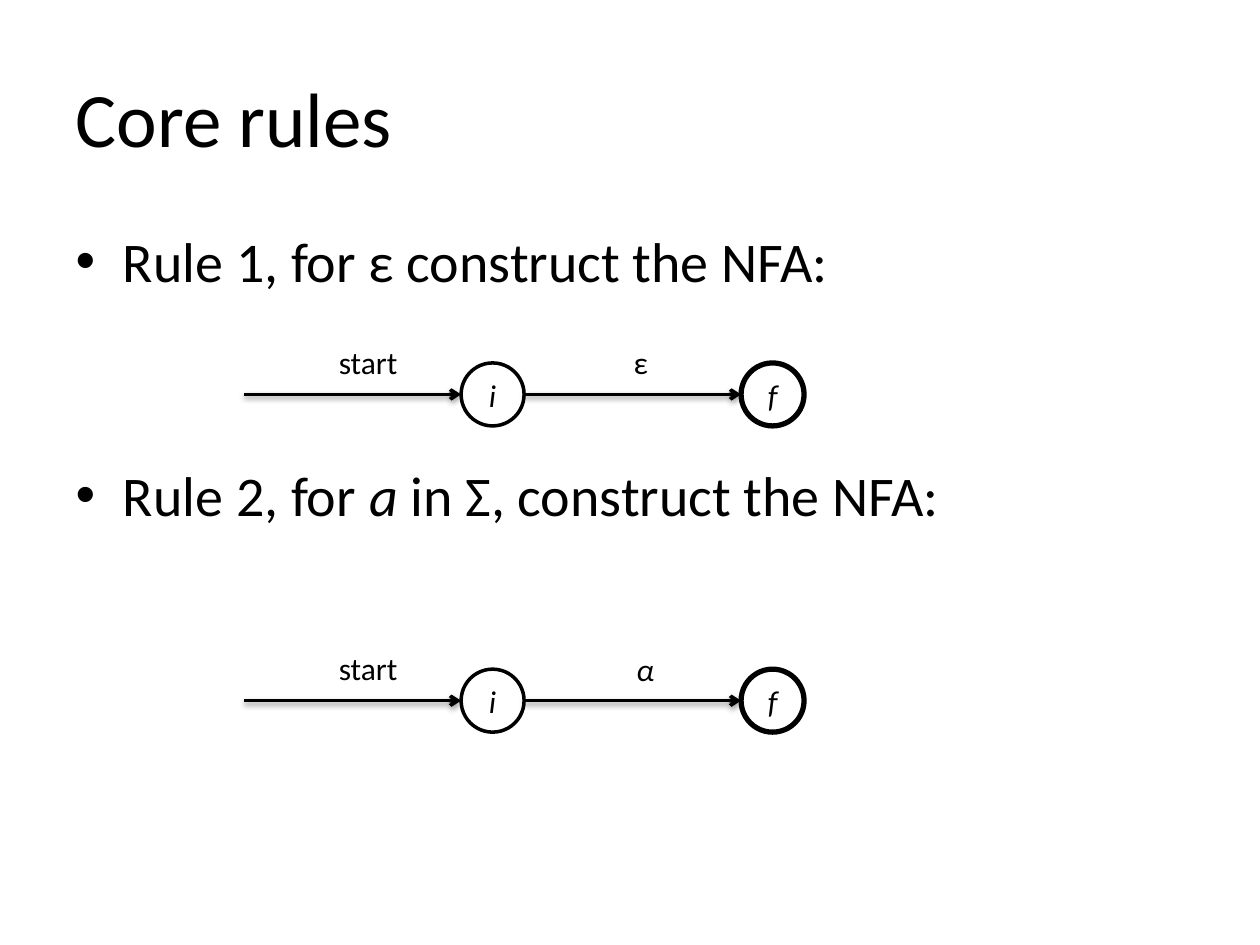
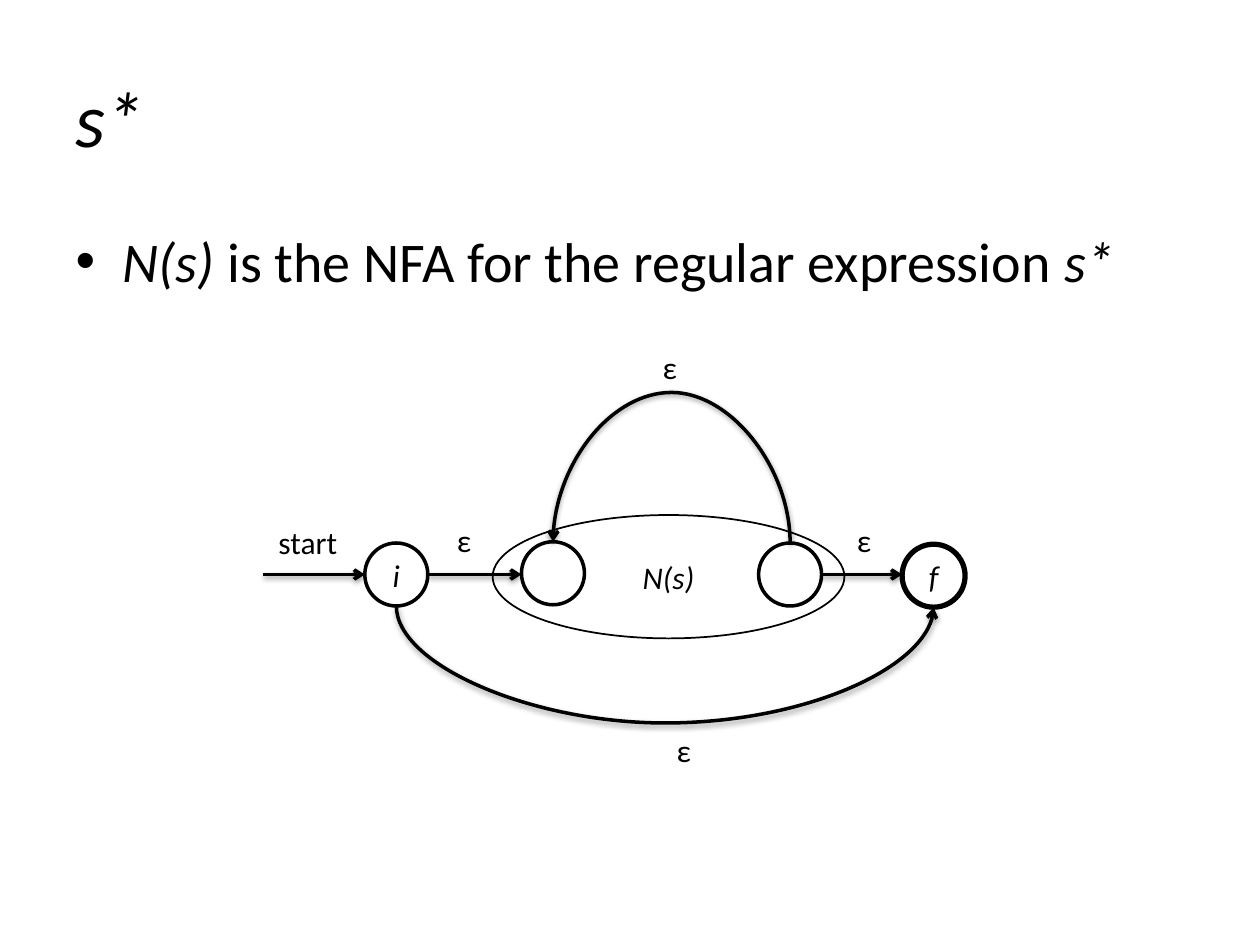
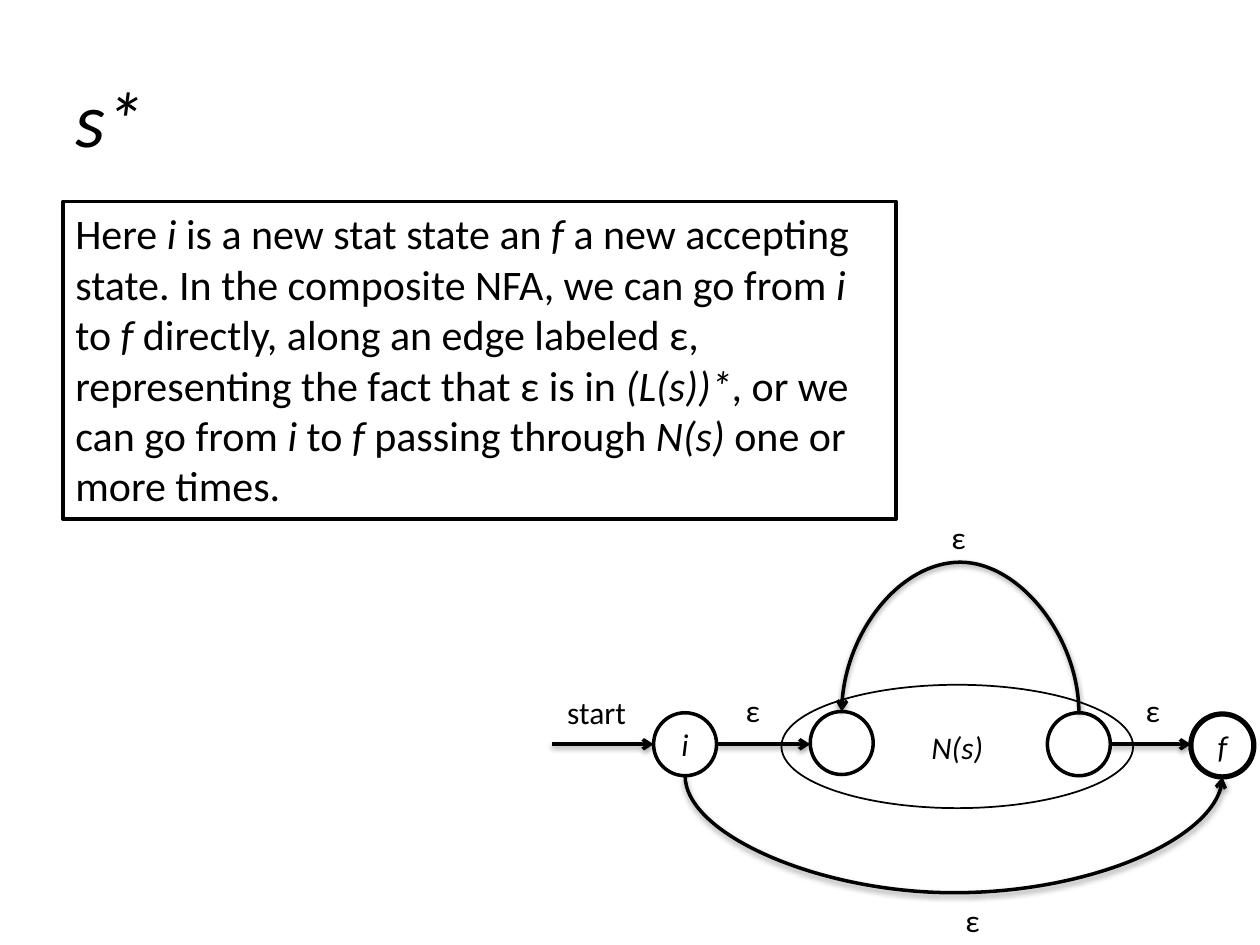
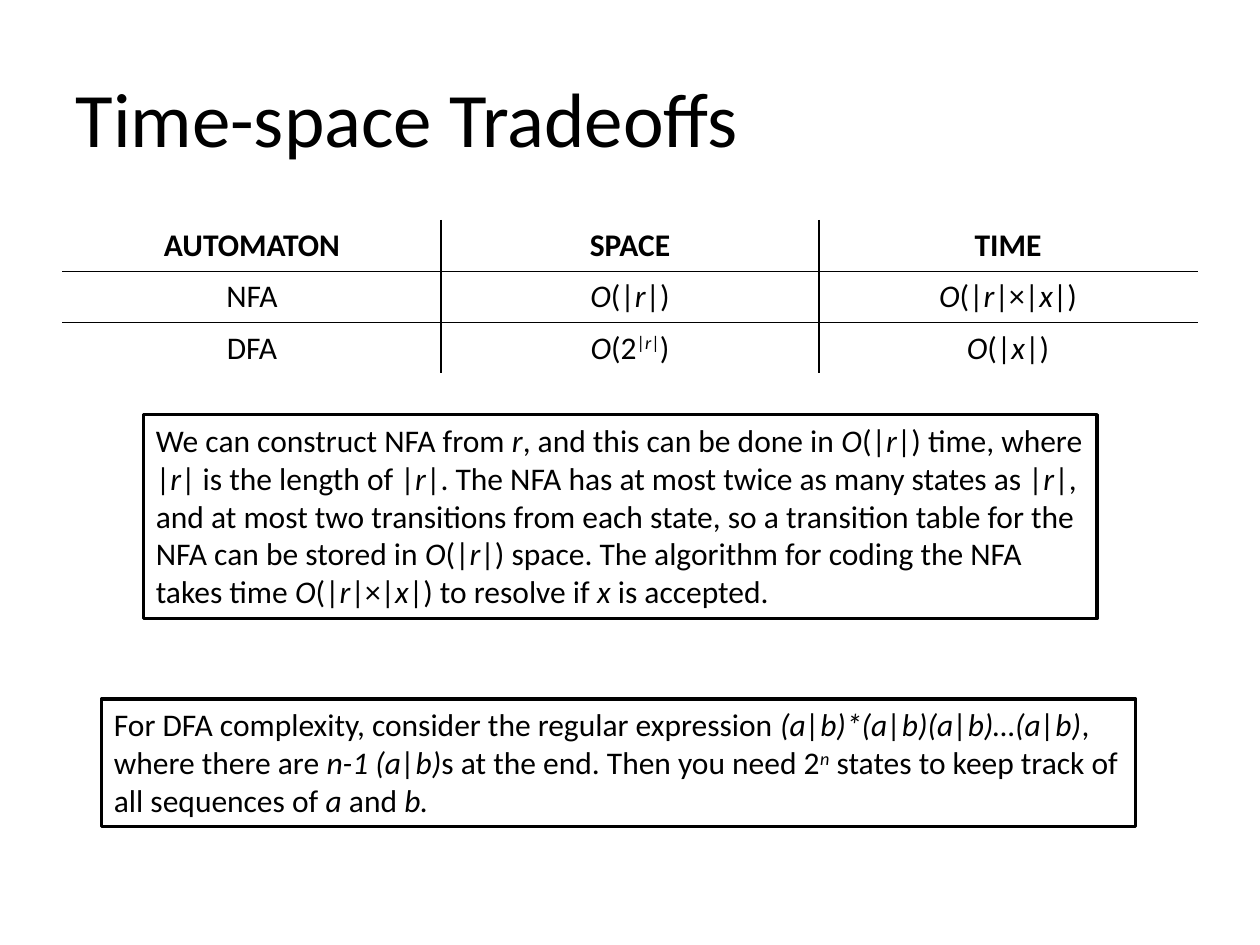
"""Four slides on building an NFA from a regular expression."""
from dataclasses import dataclass

import pptx
import pptx.dml.color
import pptx.enum.shapes
import pptx.enum.text
import pptx.oxml.ns
import pptx.util
from lxml import etree

Pt = pptx.util.Pt
qn = pptx.oxml.ns.qn
SHAPE = pptx.enum.shapes.MSO_SHAPE
LINK = pptx.enum.shapes.MSO_CONNECTOR
ALIGN = pptx.enum.text.PP_ALIGN
ANCHOR = pptx.enum.text.MSO_ANCHOR
FIT = pptx.enum.text.MSO_AUTO_SIZE

BLACK = pptx.dml.color.RGBColor(0, 0, 0)
WHITE = pptx.dml.color.RGBColor(255, 255, 255)
FONT = "Calibri"
SIZE = 36  # diameter of a state
TOP, BOTTOM = 0, 4  # connection sites of an ellipse


@dataclass
class State:
    """A state of an automaton: left edge, vertical centre, name."""
    x: float
    y: float
    name: str = ""
    final: bool = False


@dataclass
class Label:
    """A short text beside an edge."""
    x: float
    y: float
    text: str = "ε"
    width: float = 23


@dataclass
class Box:
    """A framed paragraph."""
    x: float
    y: float
    width: float
    height: float
    size: float
    text: str


def write(para, text: str, size: float, bold: bool = False) -> None:
    """Fill a paragraph; _ toggles italics and ^ toggles superscript."""
    font = para.font
    font.name, font.size, font.bold = FONT, Pt(size), bold
    font.color.rgb = BLACK
    raised = False
    for i, part in enumerate(text.split("_")):
        for j, piece in enumerate(part.split("^")):
            if j:
                raised = not raised
            if piece:
                run = para.add_run()
                run.text = piece
                if i % 2:
                    run.font.italic = True
                if raised:
                    run.font._element.set("baseline", "30000")


def start(deck, title: str, points: tuple = (), gap: float = 0):
    """Add a slide with a title and, if given, a list of points."""
    slide = deck.slides.add_slide(deck.slide_layouts[1 if points else 5])
    para = slide.shapes.title.text_frame.paragraphs[0]
    para.alignment = ALIGN.LEFT
    write(para, title, 44)
    for i, point in enumerate(points):
        frame = slide.placeholders[1].text_frame
        para = frame.add_paragraph() if i else frame.paragraphs[0]
        write(para, point, 32)
        if i:
            para.space_before = Pt(gap)
    return slide


def outline(slide, kind, x: float, y: float, w: float, h: float,
            weight: float, filled: bool = True):
    """Add a black-edged shape without shadow."""
    shape = slide.shapes.add_shape(kind, Pt(x), Pt(y), Pt(w), Pt(h))
    shape.shadow.inherit = False
    if filled:
        shape.fill.solid()
        shape.fill.fore_color.rgb = WHITE
    else:
        shape.fill.background()
    shape.line.color.rgb = BLACK
    shape.line.width = Pt(weight)
    return shape


def name(shape, text: str) -> None:
    """Write a centred name into a shape."""
    para = shape.text_frame.paragraphs[0]
    para.alignment = ALIGN.CENTER
    write(para, f"_{text}_", 18)


def node(slide, state: State):
    """Draw a state as a circle, heavier if it accepts."""
    shape = outline(slide, SHAPE.OVAL, state.x, state.y - SIZE / 2,
                    SIZE, SIZE, 3 if state.final else 2)
    if state.name:
        name(shape, state.name)
    return shape


def tag(slide, label: Label) -> None:
    """Draw the label of an edge."""
    area = slide.shapes.add_textbox(Pt(label.x), Pt(label.y),
                                    Pt(label.width), Pt(29))
    frame = area.text_frame
    frame.word_wrap = False
    frame.auto_size = FIT.SHAPE_TO_FIT_TEXT
    write(frame.paragraphs[0], label.text, 18)


def head(line) -> None:
    """Make a connector a black arrow; its shadow is the theme's."""
    line.line.color.rgb = BLACK
    line.line.width = Pt(2)
    edge = line.element.spPr.find(qn("a:ln"))
    etree.SubElement(edge, qn("a:tailEnd"), type="arrow")


def arrow(slide, x: float, end: float, y: float) -> None:
    """Draw a level arrow."""
    head(slide.shapes.add_connector(LINK.STRAIGHT, Pt(x), Pt(y),
                                    Pt(end), Pt(y)))


def arc(slide, first, last, site: int, depth: float) -> None:
    """Draw a bowed arrow between the tops or bottoms of two states."""
    drop = first.height if site == BOTTOM else 0
    x, end = (s.left + s.width // 2 for s in (first, last))
    y, stop = (s.top + drop for s in (first, last))
    wide, high = abs(stop - y), abs(end - x)
    line = slide.shapes.add_connector(LINK.CURVE, 0, 0, 1, 1)
    line.left, line.top = (x + end - wide) // 2, (y + stop - high) // 2
    line.width, line.height = wide, high
    props = line.element.spPr
    frame = props.find(qn("a:xfrm"))
    frame.set("rot", "16200000")
    frame.set("flipH" if site == BOTTOM else "flipV", "1")
    bend = round(Pt(depth) / wide * 100000)
    etree.SubElement(props.find(qn("a:prstGeom")).find(qn("a:avLst")),
                     qn("a:gd"), name="adj1", fmla=f"val {bend}")
    ends = line.element.nvCxnSpPr.cNvCxnSpPr
    for key, shape in (("a:stCxn", first), ("a:endCxn", last)):
        etree.SubElement(ends, qn(key), id=str(shape.shape_id),
                         idx=str(site))
    head(line)


def basic(slide, y: float, mark: Label) -> None:
    """Draw the two-state automaton of a core rule."""
    left, right = 263.5, 423.5
    node(slide, State(left, y, "i"))
    node(slide, State(right, y, "f", True))
    arrow(slide, left + SIZE, right, y)
    arrow(slide, 139.5, left, y)
    tag(slide, mark)
    tag(slide, Label(186.5, y - 33, "start", 49))


def star(slide, x: float, y: float) -> None:
    """Draw the automaton for s*, its start arrow beginning at x, y."""
    name(outline(slide, SHAPE.OVAL, x + 131, y - 34, 201, 70.5, 1, False),
         "N(s)")
    # The small steps in height give the bowed arrows a box to bend in.
    states = (State(x + 58, y, "i"), State(x + 147.5, y - 0.7),
              State(x + 283, y), State(x + 365, y + 0.7, "f", True))
    enter, first, last, leave = (node(slide, s) for s in states)
    arrow(slide, x, states[0].x, y)
    for a, b in (states[:2], states[2:]):
        arrow(slide, a.x + SIZE, b.x, y)
    arc(slide, last, first, TOP, 85)
    arc(slide, enter, leave, BOTTOM, 66)
    tag(slide, Label(x + 1.5, y - 33, "start", 49))
    for dx, dy in ((103.5, -34), (332, -34), (221, -133), (229, 86)):
        tag(slide, Label(x + dx, y + dy))


def panel(slide, box: Box) -> None:
    """Draw a framed paragraph."""
    shape = outline(slide, SHAPE.RECTANGLE, box.x, box.y,
                    box.width, box.height, 2)
    frame = shape.text_frame
    frame.word_wrap = True
    frame.auto_size = FIT.SHAPE_TO_FIT_TEXT
    frame.vertical_anchor = ANCHOR.TOP
    para = frame.paragraphs[0]
    para.alignment = ALIGN.LEFT
    write(para, box.text, box.size)


def rule(cell, sides: list) -> None:
    """Give a cell thin black borders on some sides."""
    props = cell._tc.get_or_add_tcPr()
    for i, side in enumerate(sides):
        edge = etree.Element(qn(f"a:{side}"), w="12700")
        fill = etree.SubElement(edge, qn("a:solidFill"))
        etree.SubElement(fill, qn("a:srgbClr"), val=str(BLACK))
        props.insert(i, edge)


def grid(slide, rows: tuple) -> None:
    """Draw a table with inner lines only."""
    high, wide = len(rows), len(rows[0])
    table = slide.shapes.add_table(high, wide, Pt(36), Pt(126), Pt(648),
                                   Pt(29.2 * high)).table
    table.first_row = table.horz_banding = False
    for r, row in enumerate(rows):
        for c, text in enumerate(row):
            cell = table.cell(r, c)
            cell.fill.background()
            inner = {"lnL": c > 0, "lnR": c < wide - 1,
                     "lnT": r > 0, "lnB": r < high - 1}
            rule(cell, [side for side, on in inner.items() if on])
            para = cell.text_frame.paragraphs[0]
            para.alignment = ALIGN.CENTER
            write(para, text, 18, r == 0)


STAR = Box(
    36, 115.2, 476, 181.5, 24,
    "Here _i _is a new stat state an _f_ a new accepting state. In the "
    "composite NFA, we can go from _i _to _f_ directly, along an edge "
    "labeled ε, representing the fact that ε is in _(L(s))*_, or we can go "
    "from _i _to _f_ passing through _N(s) _one or more times. ")
COSTS = (
    ("AUTOMATON", "SPACE", "TIME"),
    ("NFA", "_O_(|_r_|)", "_O_(|_r_|×|_x_|)"),
    ("DFA", "_O_(2^|_r_|^)", "_O_(|_x_|)"),
)
NOTES = (
    Box(82, 237, 545, 116.5, 18,
        "We can construct NFA from _r_, and this can be done in _O_(|_r_|) "
        "time, where |_r_| is the length of |_r_|. The NFA has at most twice "
        "as many states as |_r_|, and at most two transitions from each "
        "state, so a transition table for the NFA can be stored in _O_(|_r_|) "
        "space. The algorithm for coding the NFA takes time "
        "_O_(|_r_|×|_x_|) to resolve if _x_ is accepted."),
    Box(58, 399.5, 591, 72.7, 18,
        "For DFA complexity, consider the regular expression "
        "_(a|b)*(a|b)(a|b)…(a|b)_, where there are _n-1 (a|b)_s at the end. "
        "Then you need 2_^n^_ states to keep track of all sequences of _a_ "
        "and _b._"),
)


def main() -> None:
    """Build and save the deck."""
    deck = pptx.Presentation()
    deck.slide_width, deck.slide_height = Pt(720), Pt(540)

    slide = start(deck, "Core rules",
                  ("Rule 1, for ε construct the NFA:",
                   "Rule 2, for _a_ in Σ, construct the NFA:"), 95)
    basic(slide, 225.4, Label(355, 192.4))
    basic(slide, 400.4, Label(356.5, 367.8, "_α_"))

    slide = start(deck, "_s*_",
                  ("_N(s) _is the NFA for the regular expression _s*_",))
    star(slide, 150.5, 328.3)

    slide = start(deck, "_s*_")
    star(slide, 315.5, 425.3)
    panel(slide, STAR)

    slide = start(deck, "Time-space Tradeoffs ")
    grid(slide, COSTS)
    for note in NOTES:
        panel(slide, note)

    deck.save("out.pptx")


main()
